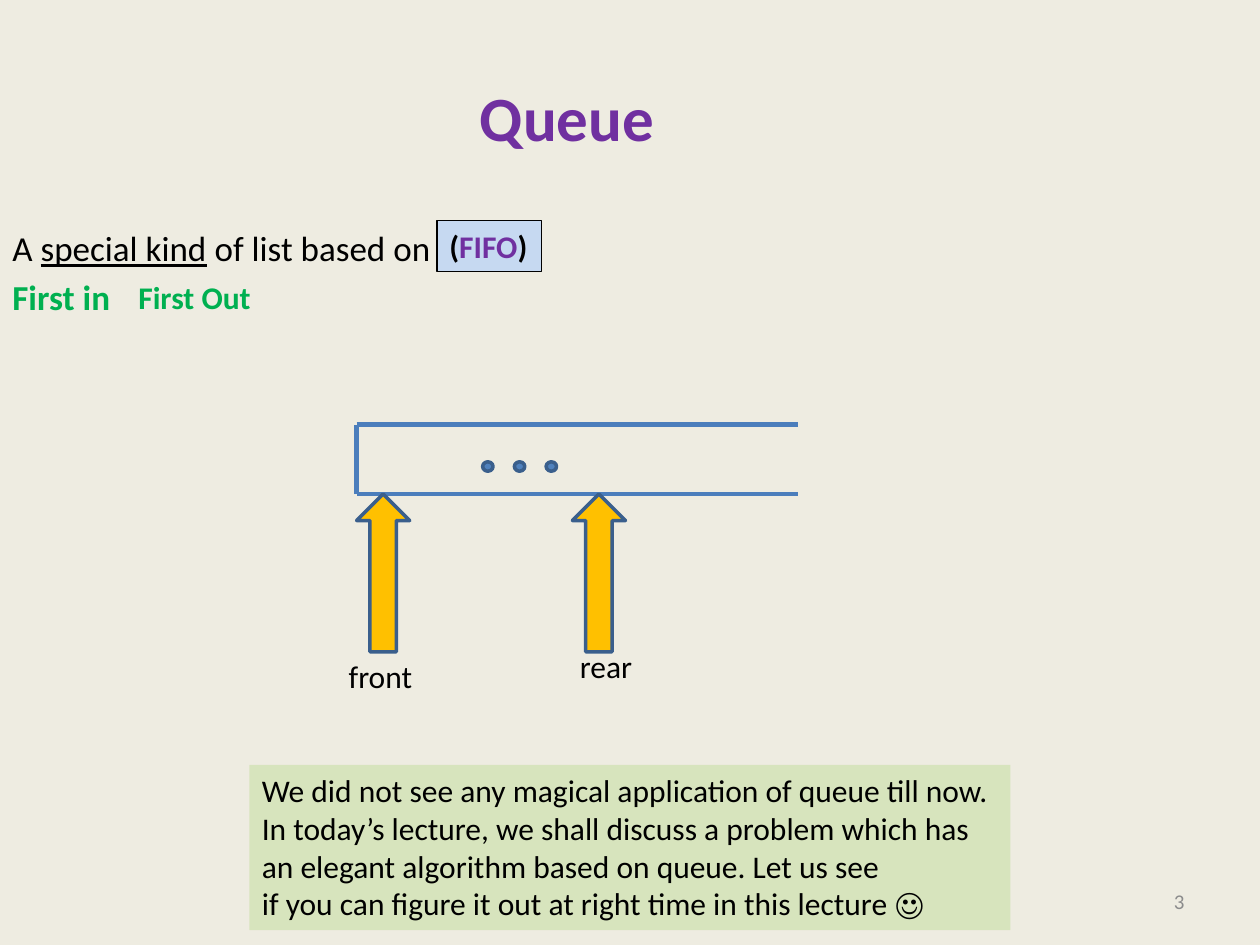
from lxml import etree
from pptx import Presentation
from pptx.dml.color import RGBColor
from pptx.enum.shapes import MSO_CONNECTOR, MSO_SHAPE
from pptx.enum.text import MSO_ANCHOR, MSO_AUTO_SIZE, PP_ALIGN
from pptx.oxml.ns import qn
from pptx.util import Cm, Pt

STRAIGHT = MSO_CONNECTOR.STRAIGHT
OVAL, UP_ARROW = MSO_SHAPE.OVAL, MSO_SHAPE.UP_ARROW
TOP, MIDDLE = MSO_ANCHOR.TOP, MSO_ANCHOR.MIDDLE
NO_FIT, FIT_SHAPE = MSO_AUTO_SIZE.NONE, MSO_AUTO_SIZE.SHAPE_TO_FIT_TEXT
LEFT, CENTER, RIGHT = PP_ALIGN.LEFT, PP_ALIGN.CENTER, PP_ALIGN.RIGHT

BLACK = RGBColor(0x00, 0x00, 0x00)
BEIGE = RGBColor(0xEE, 0xEC, 0xE1)
GRAY = RGBColor(0x8C, 0x8C, 0x8C)
PURPLE = RGBColor(0x70, 0x30, 0xA0)
GREEN = RGBColor(0x00, 0xB0, 0x50)
BLUE = RGBColor(0x4F, 0x81, 0xBD)
LINE_BLUE = RGBColor(0x4B, 0x7E, 0xBC)
DARK_BLUE = RGBColor(0x3A, 0x5F, 0x8C)
LIGHT_BLUE = RGBColor(0xC6, 0xD9, 0xF1)
LIGHT_GREEN = RGBColor(0xD7, 0xE4, 0xBD)
GOLD = RGBColor(0xFF, 0xC0, 0x00)

FONT = "Calibri"
QUEUE_LEFT, QUEUE_RIGHT = 7.19, 16.08
QUEUE_TOP, QUEUE_BOTTOM = 8.56, 9.96


def add_run(p, text, size=18, color=BLACK, bold=False, underline=False):
    r = p.add_run()
    r.text = text
    r.font.name = FONT
    r.font.size = Pt(size)
    r.font.color.rgb = color
    r.font.bold = bold
    r.font.underline = underline


def write(tf, paragraphs, align=LEFT, space_before=0, **style):
    for i, runs in enumerate(paragraphs):
        p = tf.add_paragraph() if i else tf.paragraphs[0]
        p.alignment = align
        p.space_before = Pt(space_before if i else 0)
        for text, changes in runs:
            add_run(p, text, **{**style, **changes})


def add_text(s, box, paragraphs, fill=None, line=None, wrap=False,
             anchor=TOP, fit=FIT_SHAPE, **style):
    sp = s.shapes.add_textbox(*map(Cm, box))
    tf = sp.text_frame
    tf.word_wrap = wrap
    tf.auto_size = fit
    tf.vertical_anchor = anchor
    if fill is not None:
        sp.fill.solid()
        sp.fill.fore_color.rgb = fill
    if line is not None:
        sp.line.color.rgb = line
        sp.line.width = Pt(0.75)
    write(tf, paragraphs, **style)


def add_figure(s, kind, box, fill):
    sp = s.shapes.add_shape(kind, *map(Cm, box))
    sp.shadow.inherit = False
    sp.fill.solid()
    sp.fill.fore_color.rgb = fill
    sp.line.color.rgb = DARK_BLUE
    sp.line.width = Pt(2)


def add_edge(s, x1, y1, x2, y2, width):
    line = s.shapes.add_connector(STRAIGHT, Cm(x1), Cm(y1), Cm(x2), Cm(y2))
    line.line.color.rgb = LINE_BLUE
    line.line.width = Pt(width)
    etree.SubElement(line._element.spPr, qn("a:effectLst"))


def add_title(s, text):
    sp = s.shapes.title
    sp.left, sp.top, sp.width, sp.height = map(Cm, (0, 0.76, 22.86, 3.18))
    sp.text_frame.vertical_anchor = MIDDLE
    write(sp.text_frame, [[(text, {})]], align=CENTER, size=36, color=PURPLE, bold=True)


def add_queue(s):
    add_edge(s, QUEUE_LEFT, QUEUE_TOP, QUEUE_RIGHT, QUEUE_TOP, 3)
    add_edge(s, QUEUE_RIGHT, QUEUE_BOTTOM, QUEUE_LEFT, QUEUE_BOTTOM, 2.25)
    add_edge(s, QUEUE_LEFT, QUEUE_BOTTOM, QUEUE_LEFT, QUEUE_TOP, 3)
    for i in range(3):
        add_figure(s, OVAL, (9.73 + 0.64 * i, 9.31, 0.21, 0.19), BLUE)


def add_pointer(s, label, arrow_left, label_box):
    add_figure(s, UP_ARROW, (arrow_left, QUEUE_BOTTOM, 1.07, 3.18), GOLD)
    add_text(s, label_box, [[(label, {})]])


def main():
    prs = Presentation()
    prs.slide_width, prs.slide_height = Cm(25.4), Cm(19.05)
    s = prs.slides.add_slide(prs.slide_layouts[5])
    s.background.fill.solid()
    s.background.fill.fore_color.rgb = BEIGE

    add_text(s, (18.2, 17.66, 5.93, 1.01), [[("3", {})]], wrap=True,
             anchor=MIDDLE, fit=NO_FIT, align=RIGHT, size=12, color=GRAY)
    add_title(s, "Queue")
    add_text(s, (0, 4.45, 22.86, 12.57), [
        [("A ", {}), ("special kind", {"underline": True}), (" of list based on", {})],
        [("First in", {"color": GREEN, "bold": True})],
    ], wrap=True, fit=NO_FIT, size=20, space_before=4)

    add_queue(s)
    add_pointer(s, "front", QUEUE_LEFT, (6.78, 13.13, 1.8, 1.03))
    add_pointer(s, "rear", 11.54, (11.44, 12.91, 1.57, 1.03))

    add_text(s, (2.54, 5.49, 2.79, 1.03), [[("First Out", {})]], color=GREEN, bold=True)
    add_text(s, (8.81, 4.45, 2.11, 1.03),
             [[("(", {}), ("FIFO", {"color": PURPLE}), (")", {})]],
             fill=LIGHT_BLUE, line=BLACK, bold=True)
    remark = [
        "We did not see any magical application of queue till now.",
        "In today’s lecture, we shall discuss a problem which has",
        "an elegant algorithm based on queue. Let us see",
        "if you can figure it out at right time in this lecture ☺",
    ]
    add_text(s, (5.03, 15.42, 15.34, 3.33), [[(text, {})] for text in remark],
             fill=LIGHT_GREEN)
    prs.save("out.pptx")


if __name__ == "__main__":
    main()
